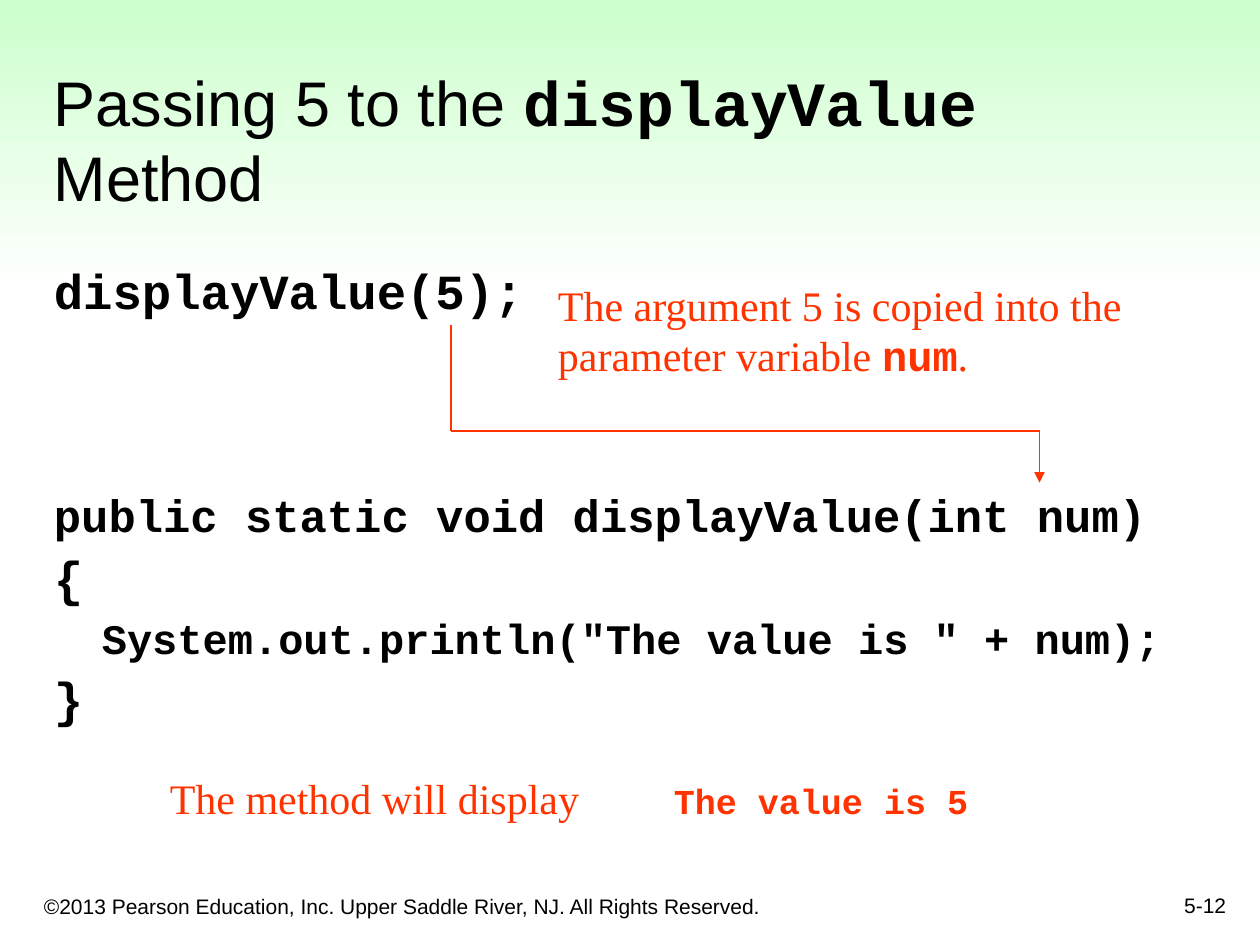
from lxml import etree
from pptx import Presentation
from pptx.dml.color import RGBColor
from pptx.enum.shapes import MSO_CONNECTOR, MSO_SHAPE
from pptx.enum.text import MSO_ANCHOR, PP_ALIGN
from pptx.oxml.ns import qn
from pptx.util import Inches, Pt

STRAIGHT, RECT = MSO_CONNECTOR.STRAIGHT, MSO_SHAPE.RECTANGLE
TOP, BOTTOM = MSO_ANCHOR.TOP, MSO_ANCHOR.BOTTOM
LEFT, RIGHT = PP_ALIGN.LEFT, PP_ALIGN.RIGHT
BLACK = RGBColor(0x00, 0x00, 0x00)
RED = RGBColor(0xFF, 0x33, 0x00)
GREEN = RGBColor(0xCC, 0xFF, 0xCC)
WHITE = RGBColor(0xFF, 0xFF, 0xFF)
W, H = 10, 7.5


def style(size, name="Arial", color=BLACK, bold=False):
    """Return the format values of a run."""
    return {"size": Pt(size), "name": name, "bold": bold, "color": color}


def code(size, color=BLACK):
    """Return the format values of a bold code run."""
    return style(size, "Courier New", color, True)


def note(size):
    """Return the format values of a red remark."""
    return style(size, "Times New Roman", RED)


def add_runs(p, runs):
    """Fill a paragraph with (text, format) runs."""
    for text, values in runs:
        r = p.add_run()
        r.text = text
        for key, value in values.items():
            if key == "color":
                r.font.color.rgb = value
            else:
                setattr(r.font, key, value)


def add_text(s, x, y, w, h, runs, anchor=TOP, align=LEFT):
    """Add a wrapping text box with one paragraph and return its frame."""
    tf = s.shapes.add_textbox(*map(Inches, (x, y, w, h))).text_frame
    tf.word_wrap = True
    tf.vertical_anchor = anchor
    p = tf.paragraphs[0]
    p.alignment = align
    add_runs(p, runs)
    return tf


def add_tab(p, pos):
    """Set a left tab stop on a paragraph."""
    tabs = etree.SubElement(p._p.get_or_add_pPr(), qn("a:tabLst"))
    etree.SubElement(tabs, qn("a:tab"), pos=str(Inches(pos)), algn="l")


def add_band(s, height):
    """Add the gradient band across the top."""
    sp = s.shapes.add_shape(RECT, 0, 0, Inches(W), Inches(height))
    sp.shadow.inherit = False
    sp.line.fill.background()
    sp.fill.gradient()
    sp.fill.gradient_angle = 270
    for stop, color, pos in zip(sp.fill.gradient_stops, (GREEN, WHITE), (0, 1)):
        stop.color.rgb = color
        stop.position = pos


def add_code(s, x, y, w, h, lines):
    """Add code lines given as (text, size, space before, indent)."""
    tf = add_text(s, x, y, w, h, [])
    tf.margin_right = 0
    for i, (text, size, before, indent) in enumerate(lines):
        p = tf.add_paragraph() if i else tf.paragraphs[0]
        p.line_spacing = 0.9
        p.space_before = Pt(before)
        p._p.get_or_add_pPr().set("marL", str(Inches(indent)))
        add_runs(p, [(text, code(size))])


def add_route(s, points):
    """Join points with lines and put an arrowhead on the last one."""
    for start, end in zip(points, points[1:]):
        c = s.shapes.add_connector(STRAIGHT, *map(Inches, start + end))
        c.line.color.rgb = RED
        c.line.width = Pt(0.75)
        if end == points[-1]:
            etree.SubElement(c.line._get_or_add_ln(), qn("a:tailEnd"), type="triangle")
        etree.SubElement(c._element.spPr, qn("a:effectLst"))


def main():
    """Build the slide."""
    prs = Presentation()
    prs.slide_width, prs.slide_height = Inches(W), Inches(H)
    s = prs.slides.add_slide(prs.slide_layouts[6])
    add_band(s, 0.31 * H)
    add_text(s, 0.25, 6.92, 6.08, 0.42, [(
        "©2013 Pearson Education, Inc. Upper Saddle River, NJ. All Rights Reserved.",
        style(12))], BOTTOM)
    add_text(s, 7.75, 6.83, 2.08, 0.5, [("5-12", style(12))], BOTTOM, RIGHT)
    add_text(s, 0.33, 0.5, 8.5, 1.25, [
        ("Passing 5 to the ", style(36)),
        ("displayValue ", code(36)),
        ("Method", style(36))], BOTTOM)
    add_code(s, 0.33, 2.07, 9.07, 4.44, [
        ("displayValue(5);", 28, 0, 0),
        ("public static void displayValue(int num)", 26, 99, 0),
        ("{", 28, 7, 0),
        ('System.out.println("The value is " + num);', 24, 6, 0.38),
        ("}", 28, 7, 0)])
    add_text(s, 4.33, 2.17, 4.75, 0.9, [
        ("The argument 5 is copied into the parameter variable ", note(24)),
        ("num", code(24, RED)),
        (".", note(24))])
    add_route(s, [(3.58, 2.58), (3.58, 3.42), (8.25, 3.42), (8.25, 3.83)])
    tf = add_text(s, 1.25, 6.08, 7.33, 0.5, [
        ("The method will display\t", note(24)),
        ("The value is 5", code(20, RED))])
    add_tab(tf.paragraphs[0], 4)
    prs.save("out.pptx")


if __name__ == "__main__":
    main()
